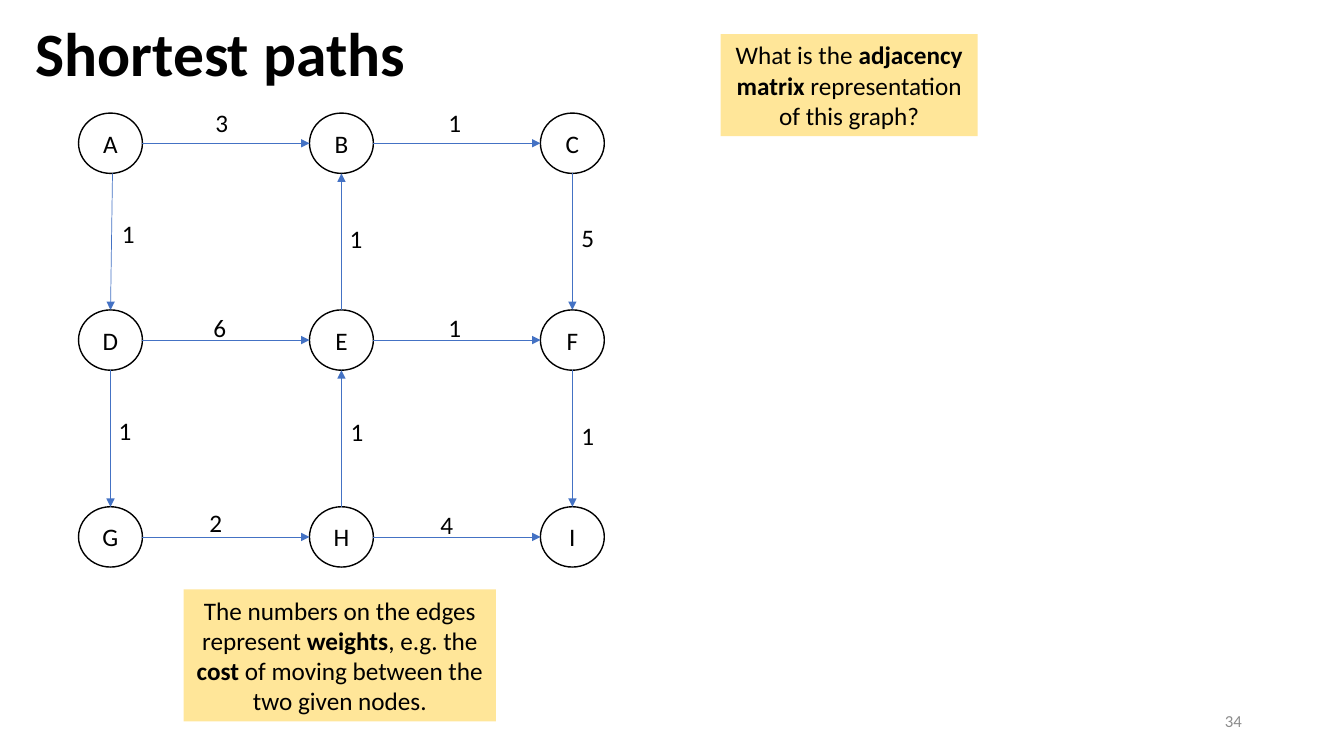
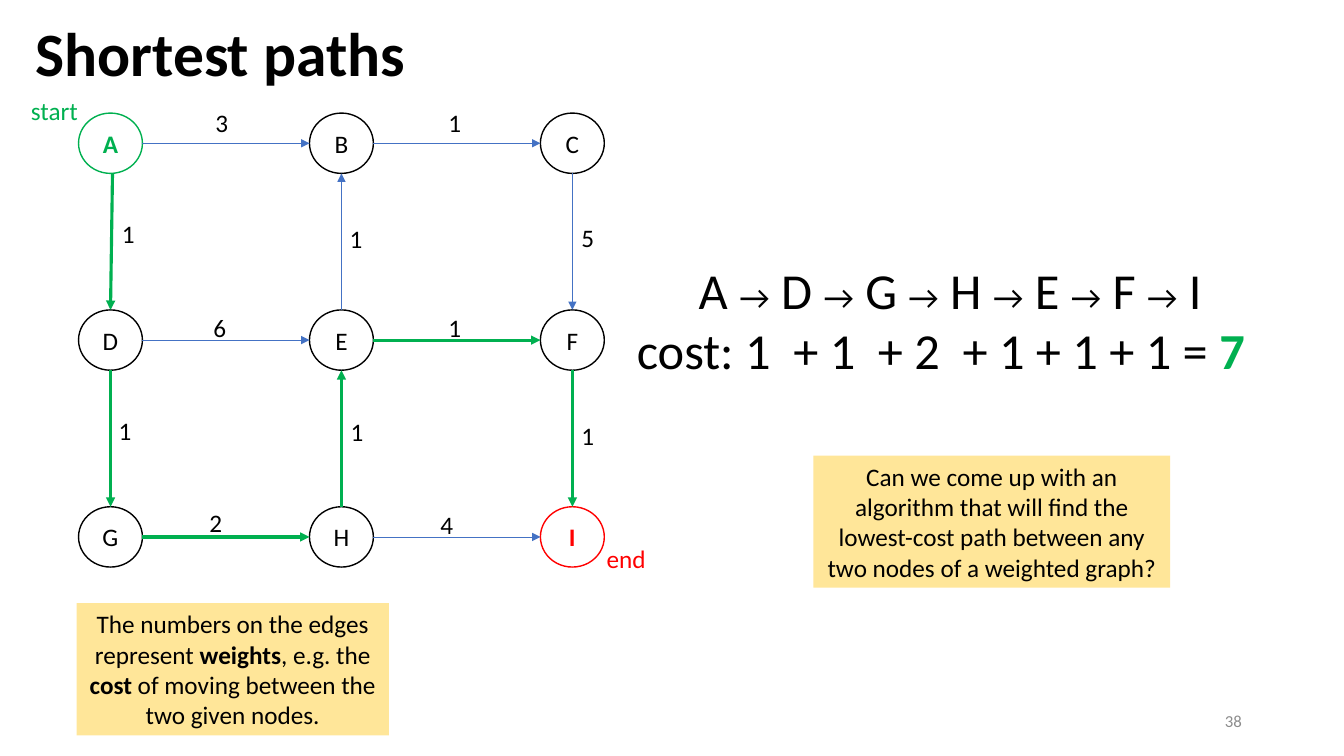
import pptx
import pptx.dml.color
import pptx.enum.shapes
import pptx.enum.text
import pptx.oxml
import pptx.oxml.ns
import pptx.util
from pptx.dml.color import RGBColor
from pptx.enum.shapes import MSO_CONNECTOR, MSO_SHAPE
from pptx.enum.text import MSO_ANCHOR, MSO_AUTO_SIZE, PP_ALIGN
from pptx.util import Cm, Pt

FONT = "Calibri"
BLACK = RGBColor(0x00, 0x00, 0x00)
BLUE = RGBColor(0x44, 0x72, 0xC4)
GREEN = RGBColor(0x00, 0xB0, 0x50)
RED = RGBColor(0xFF, 0x00, 0x00)
GRAY = RGBColor(0x8C, 0x8C, 0x8C)
YELLOW = RGBColor(0xFF, 0xE6, 0x99)

TITLE_ONLY_LAYOUT = 5
BOLD = {"bold": True}

# Node grid, in centimetres
NODES = "ABCDEFGHI"
COLUMNS = 3
GRID_LEFT, GRID_TOP = 1.98, 2.85
COLUMN_STEP, ROW_STEP = 5.82, 4.96
NODE_WIDTH, NODE_HEIGHT = 1.61, 1.52

# Edge: (weight, label left, label top), in centimetres
EDGES = {
    "AB": ("3", 5.18, 2.59),
    "BC": ("1", 11.05, 2.59),
    "AD": ("1", 2.82, 5.38),
    "EB": ("1", 8.56, 5.51),
    "CF": ("5", 14.4, 5.49),
    "DE": ("6", 5.13, 7.75),
    "EF": ("1", 11.05, 7.75),
    "DG": ("1", 2.74, 10.34),
    "HE": ("1", 8.59, 10.36),
    "FI": ("1", 14.4, 10.46),
    "GH": ("2", 5.03, 12.67),
    "HI": ("4", 10.85, 12.7),
}
START_SHIFTS = {"AD": 0.05}

SHORTEST_PATH = "ADGHEFI"
WEIGHTS_NOTE = [
    ("The numbers on the edges represent ", {}),
    ("weights", BOLD),
    (", e.g. the ", {}),
    ("cost", BOLD),
    (" of moving between the two given nodes.", {}),
]
MATRIX_QUESTION = [
    ("What is the ", {}),
    ("adjacency matrix", BOLD),
    (" representation of this graph?", {}),
]
ALGORITHM_QUESTION = [
    ("Can we come up with an algorithm that will find the lowest-cost path "
     "between any two nodes of a weighted graph?", {}),
]


def add_run(paragraph, text, size=18, color=BLACK, bold=False, spacing=0):
    """Add one run; spacing widens its characters by that many points."""
    run = paragraph.add_run()
    run.text = text
    run.font.name = FONT
    run.font.size = Pt(size)
    run.font.color.rgb = color
    run.font.bold = bold
    if spacing:
        run._r.get_or_add_rPr().set("spc", str(spacing * 100))


def add_text_box(slide, left, top, width, height, wrap=False):
    box = slide.shapes.add_textbox(Cm(left), Cm(top), Cm(width), Cm(height))
    box.text_frame.word_wrap = wrap
    return box.text_frame


def add_label(slide, text, left, top, width=0.84, color=BLACK):
    frame = add_text_box(slide, left, top, width, 1.02)
    add_run(frame.paragraphs[0], text, color=color)


def add_centered_shape(slide, kind, left, top, width, height):
    """Add a shape with no shadow and centred text."""
    shape = slide.shapes.add_shape(
        kind, Cm(left), Cm(top), Cm(width), Cm(height))
    shape.shadow.inherit = False
    frame = shape.text_frame
    frame.word_wrap = True
    frame.vertical_anchor = MSO_ANCHOR.MIDDLE
    frame.paragraphs[0].alignment = PP_ALIGN.CENTER
    return shape


def add_callout(slide, runs, left, top, width, height):
    shape = add_centered_shape(
        slide, MSO_SHAPE.RECTANGLE, left, top, width, height)
    shape.fill.solid()
    shape.fill.fore_color.rgb = YELLOW
    shape.line.fill.background()
    for text, style in runs:
        add_run(shape.text_frame.paragraphs[0], text, **style)


def node_position(name):
    row, column = divmod(NODES.index(name), COLUMNS)
    return GRID_LEFT + column * COLUMN_STEP, GRID_TOP + row * ROW_STEP


def add_node(slide, name, accent=None):
    shape = add_centered_shape(
        slide, MSO_SHAPE.OVAL, *node_position(name), NODE_WIDTH, NODE_HEIGHT)
    color = accent or BLACK
    shape.fill.background()
    shape.line.color.rgb = color
    shape.line.width = Pt(1)
    frame = shape.text_frame
    frame.margin_left = frame.margin_right = 0
    add_run(frame.paragraphs[0], name, color=color, bold=accent is not None)


def edge_ends(edge):
    """Return the points where an edge leaves one node and meets the next."""
    (x1, y1), (x2, y2) = map(node_position, edge)
    middle_x, middle_y = NODE_WIDTH / 2, NODE_HEIGHT / 2
    if y1 == y2:
        return x1 + NODE_WIDTH, y1 + middle_y, x2, y2 + middle_y
    start_x = x1 + middle_x + START_SHIFTS.get(edge, 0)
    if y1 < y2:
        return start_x, y1 + NODE_HEIGHT, x2 + middle_x, y2
    return start_x, y1, x2 + middle_x, y2 + NODE_HEIGHT


def add_arrow(slide, edge, color, width):
    connector = slide.shapes.add_connector(
        MSO_CONNECTOR.STRAIGHT, *map(Cm, edge_ends(edge)))
    connector.line.color.rgb = color
    connector.line.width = Pt(width)
    properties = connector.element.spPr
    line = properties.find(pptx.oxml.ns.qn("a:ln"))
    head = pptx.oxml.parse_xml(
        f'<a:tailEnd {pptx.oxml.ns.nsdecls("a")} type="triangle"/>')
    line.append(head)
    properties.append(pptx.oxml.parse_xml(
        f'<a:effectLst {pptx.oxml.ns.nsdecls("a")}/>'))


def add_graph(slide, path="", accents=None):
    """Draw the weighted graph, with the edges along path in green."""
    accents = accents or {}
    path_edges = {start + end for start, end in zip(path, path[1:])}
    for name in NODES:
        add_node(slide, name, accents.get(name))
    for edge in EDGES:
        color, width = (GREEN, 2.25) if edge in path_edges else (BLUE, 0.5)
        add_arrow(slide, edge, color, width)
    for weight, left, top in EDGES.values():
        add_label(slide, weight, left, top)


def add_path_cost(slide):
    frame = add_text_box(slide, 15.8, 6.4, 16.56, 3.33, wrap=True)
    route = frame.paragraphs[0]
    route._p.get_or_add_pPr().set("marL", str(Cm(1.56)))
    add_run(route, SHORTEST_PATH[0], size=36)
    for name in SHORTEST_PATH[1:]:
        add_run(route, " ", size=36)
        add_run(route, "→", size=24)
        add_run(route, f" {name}", size=36)

    cost = frame.add_paragraph()
    add_run(cost, "cost: 1", size=36)
    for term in ("+ 1", "+ 2", "+ 1 + 1 + 1 = "):
        add_run(cost, " ", size=36, spacing=8)
        add_run(cost, term, size=36)
    add_run(cost, "7", size=36, color=GREEN, bold=True)


def add_slide(presentation, number):
    """Add a slide with the shared title and its slide number."""
    slide = presentation.slides.add_slide(
        presentation.slide_layouts[TITLE_ONLY_LAYOUT])
    title = slide.shapes.title
    title.left, title.top = Cm(0.64), Cm(0.46)
    title.width, title.height = Cm(13.74), Cm(3.68)
    frame = title.text_frame
    frame.auto_size = MSO_AUTO_SIZE.NONE
    frame.vertical_anchor = MSO_ANCHOR.TOP
    paragraph = frame.paragraphs[0]
    paragraph.alignment = PP_ALIGN.LEFT
    paragraph.line_spacing = 0.9
    add_run(paragraph, "Shortest paths", size=44, bold=True)

    footer = add_text_box(slide, 23.93, 17.65, 7.62, 1.02, wrap=True)
    footer.vertical_anchor = MSO_ANCHOR.MIDDLE
    footer.paragraphs[0].alignment = PP_ALIGN.RIGHT
    add_run(footer.paragraphs[0], str(number), size=12, color=GRAY)
    return slide


def add_question_slide(presentation):
    slide = add_slide(presentation, 34)
    add_graph(slide)
    add_callout(slide, WEIGHTS_NOTE, 4.63, 14.85, 7.87, 3.33)
    add_callout(slide, MATRIX_QUESTION, 18.16, 0.86, 6.48, 2.57)


def add_answer_slide(presentation):
    slide = add_slide(presentation, 38)
    add_graph(slide, SHORTEST_PATH, {"A": GREEN, "I": RED})
    add_path_cost(slide)
    add_callout(slide, WEIGHTS_NOTE, 1.93, 15.2, 7.87, 3.33)
    add_label(slide, "start", 0.53, 2.29, 1.7, GREEN)
    add_label(slide, "end", 15.04, 13.56, 1.5, RED)
    add_callout(slide, ALGORITHM_QUESTION, 20.5, 11.48, 8.99, 3.33)


def main():
    presentation = pptx.Presentation()
    presentation.slide_width = Cm(33.87)
    presentation.slide_height = Cm(19.05)
    add_question_slide(presentation)
    add_answer_slide(presentation)
    presentation.save("out.pptx")


if __name__ == "__main__":
    main()
